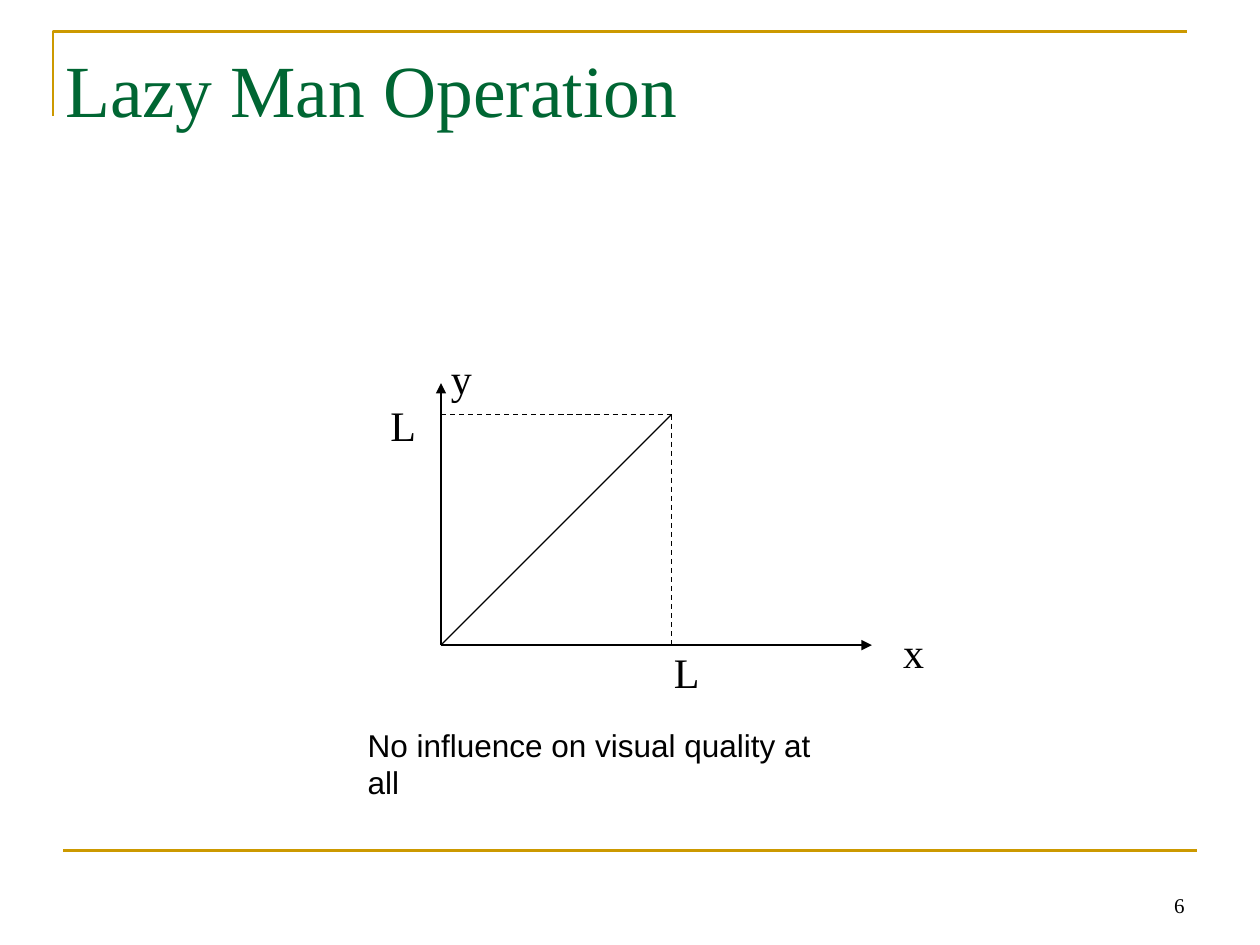
"""Build the Lazy Man Operation slide with its identity transfer graph."""
from lxml.etree import SubElement
from pptx import Presentation
from pptx.dml.color import RGBColor
from pptx.enum.dml import MSO_LINE_DASH_STYLE as Dash
from pptx.enum.shapes import MSO_CONNECTOR as Connector
from pptx.enum.text import MSO_ANCHOR as Anchor, MSO_AUTO_SIZE as AutoSize, PP_ALIGN as Align
from pptx.oxml.ns import qn
from pptx.util import Inches, Pt

GOLD, GREEN, BLACK = "CC9900", "006633", "000000"
SERIF, SANS = "Times New Roman", "Arial"

FRAME = [(0.42, 0.92), (0.42, 0.25), (9.42, 0.25)]
FOOTER_RULE = [(0.5, 6.75), (9.5, 6.75)]
TITLE = ("Lazy Man Operation", (0.42, 0.3, 9, 1.25))
PAGE_NUMBER = ("6", (7.17, 6.83, 2.33, 0.5))
CAPTION = ("No influence on visual quality at all", (2.82, 5.71, 4.03, 0.4))
AXIS_LABELS = [
    ("L", (5.25, 5.08, 0.4, 0.5)),
    ("L", (3, 3.12, 0.4, 0.5)),
    ("x", (7.07, 4.92, 0.37, 0.5)),
    ("y", (3.48, 2.75, 0.37, 0.5)),
]
ORIGIN_X, ORIGIN_Y = 3.5, 5.12
X_AXIS_LENGTH, Y_AXIS_LENGTH, LEVEL = 3.42, 2.08, 1.83


def color(hex_string):
    return RGBColor.from_string(hex_string)


def add_text(slide, text, box, size=24, font=SERIF, fill=BLACK, align=Align.LEFT,
             anchor=Anchor.TOP, wrap=False):
    shape = slide.shapes.add_textbox(*map(Inches, box))
    frame = shape.text_frame
    frame.word_wrap = wrap
    frame.auto_size = AutoSize.NONE if wrap else AutoSize.SHAPE_TO_FIT_TEXT
    frame.vertical_anchor = anchor
    paragraph = frame.paragraphs[0]
    paragraph.alignment = align
    run = paragraph.add_run()
    run.text = text
    run.font.size = Pt(size)
    run.font.name = font
    run.font.color.rgb = color(fill)


def add_line(slide, start, end, stroke=BLACK, width=0.75, dashed=False, arrow=False):
    ends = [Inches(value) for value in (*start, *end)]
    connector = slide.shapes.add_connector(Connector.STRAIGHT, *ends)
    connector.line.color.rgb = color(stroke)
    connector.line.width = Pt(width)
    if dashed:
        connector.line.dash_style = Dash.DASH
    if arrow:
        SubElement(connector.line._get_or_add_ln(), qn("a:tailEnd"), type="triangle")
    SubElement(connector._element.spPr, qn("a:effectLst"))


def add_frame(slide, points):
    start, *rest = [(Inches(x), Inches(y)) for x, y in points]
    builder = slide.shapes.build_freeform(*start)
    builder.add_line_segments(rest, close=False)
    shape = builder.convert_to_shape()
    shape.shadow.inherit = False
    shape.fill.background()
    shape.line.color.rgb = color(GOLD)
    shape.line.width = Pt(1.5)


def add_graph(slide):
    origin = (ORIGIN_X, ORIGIN_Y)
    x_level = (ORIGIN_X + LEVEL, ORIGIN_Y)
    y_level = (ORIGIN_X, ORIGIN_Y - LEVEL)
    corner = (ORIGIN_X + LEVEL, ORIGIN_Y - LEVEL)
    add_line(slide, origin, (ORIGIN_X + X_AXIS_LENGTH, ORIGIN_Y), arrow=True)
    add_line(slide, origin, (ORIGIN_X, ORIGIN_Y - Y_AXIS_LENGTH), arrow=True)
    for text, box in AXIS_LABELS:
        add_text(slide, text, box)
    add_line(slide, origin, corner)
    add_line(slide, y_level, corner, dashed=True)
    add_line(slide, corner, x_level, dashed=True)


def main():
    presentation = Presentation()
    presentation.slide_width, presentation.slide_height = Inches(10), Inches(7.5)
    slide = presentation.slides.add_slide(presentation.slide_layouts[6])
    add_frame(slide, FRAME)
    add_line(slide, *FOOTER_RULE, stroke=GOLD, width=1.5)
    add_text(slide, *PAGE_NUMBER, size=12, align=Align.RIGHT, anchor=Anchor.BOTTOM, wrap=True)
    add_text(slide, *TITLE, size=42, fill=GREEN, wrap=True)
    add_graph(slide)
    add_text(slide, *CAPTION, size=18, font=SANS)
    presentation.save("out.pptx")


if __name__ == "__main__":
    main()
